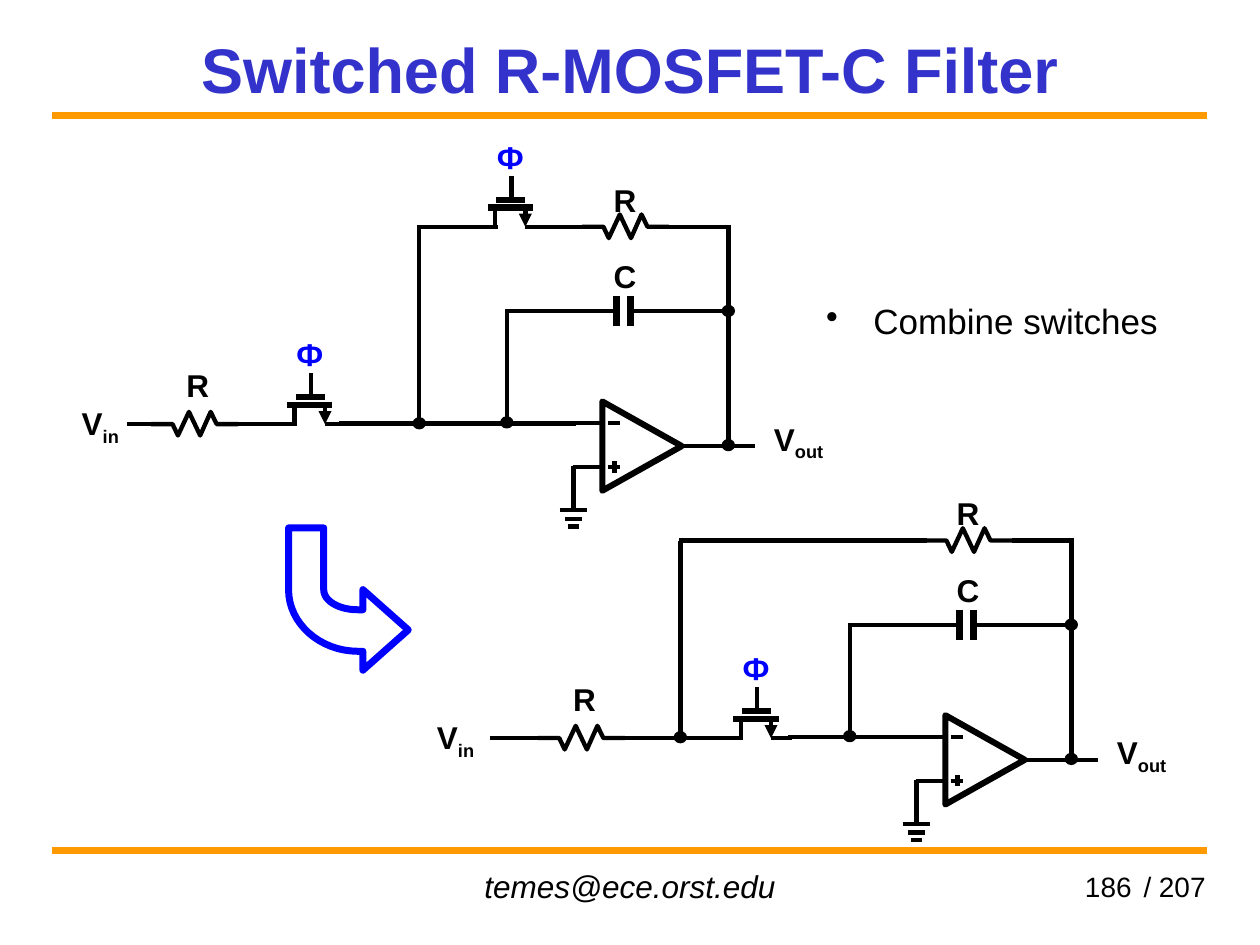
from dataclasses import dataclass
from pptx import Presentation
from pptx.dml.color import RGBColor
from pptx.enum import shapes as kinds, text as words
from pptx.oxml import ns, xmlchemy as xml
from pptx.util import Pt


@dataclass(frozen=True)
class Theme:
    """Hold the colours, type sizes and line widths."""
    ink: str = "000000"
    paper: str = "FFFFFF"
    blue: str = "0000FF"
    title: str = "3333CC"
    rule: str = "FF9900"
    font: str = "Arial"
    head: int = 36
    body: int = 20
    label: int = 18
    page: int = 16
    wire: float = 2.5
    thick: float = 3.5
    plate: float = 4
    band: float = 4.5


T = Theme()
ALIGN = words.PP_ALIGN
NODE = 5.6, 5


def color(code):
    """Turn a hex code into a colour."""
    return RGBColor.from_string(code)


def line(on, x1, y1, x2, y2, width=T.wire, ink=T.ink, arrow=False):
    """Draw a straight line, with an arrowhead at its end if asked."""
    wire = on.add_connector(kinds.MSO_CONNECTOR.STRAIGHT,
                            Pt(x1), Pt(y1), Pt(x2), Pt(y2))
    wire.line.width = Pt(width)
    wire.line.color.rgb = color(ink)
    if arrow:
        tip = xml.OxmlElement("a:tailEnd")
        tip.set("type", "triangle")
        wire.line._get_or_add_ln().append(tip)
    wire._element.spPr.append(xml.OxmlElement("a:effectLst"))


def style(shape, width, ink=T.ink, fill=None):
    """Set the fill and outline of a shape."""
    shape.shadow.inherit = False
    if fill:
        shape.fill.solid()
        shape.fill.fore_color.rgb = color(fill)
    else:
        shape.fill.background()
    shape.line.width = Pt(width)
    shape.line.color.rgb = color(ink)


def trace(on, points, width, ink=T.ink, fill=None, close=False):
    """Draw an outline through the points."""
    first, *rest = [(Pt(x), Pt(y)) for x, y in points]
    pen = on.build_freeform(*first)
    pen.add_line_segments(rest, close=close)
    style(pen.convert_to_shape(), width, ink, fill)


def write(on, content, x, y, w, h=29, size=T.label, ink=T.ink, bold=False,
          italic=False, align=ALIGN.LEFT, middle=False, wrap=True, sub="",
          bullet=False):
    """Add a text box, with an optional subscript or bullet."""
    box = on.add_textbox(Pt(x), Pt(y), Pt(w), Pt(h)).text_frame
    box.word_wrap = wrap
    if middle:
        box.vertical_anchor = words.MSO_ANCHOR.MIDDLE
    para = box.paragraphs[0]
    para.alignment = align
    if bullet:
        props = para._p.get_or_add_pPr()
        props.set("marL", str(Pt(27)))
        props.set("indent", str(Pt(-27)))
        mark = xml.OxmlElement("a:buChar")
        mark.set("char", "•")
        props.append(mark)
    for part in filter(None, (content, sub)):
        run = para.add_run()
        run.text = part
        font = run.font
        font.name, font.size = T.font, Pt(size)
        font.bold, font.italic = bold, italic
        font.color.rgb = color(ink)
    if sub:
        font._element.set("baseline", "-25000")


def dot(on, x, y):
    """Mark a junction centred on a point."""
    w, h = NODE
    node = on.add_shape(kinds.MSO_SHAPE.OVAL, Pt(x - w / 2), Pt(y - h / 2),
                        Pt(w), Pt(h))
    style(node, 2, fill=T.ink)


def ohm(on, x, y, dx, dy):
    """Draw a resistor from its left end, with its label shifted."""
    steps = [(0, 0), (12.2, 0), (15.3, 6.5), (21.6, -7), (28, 6.5),
             (34, -7), (37.4, 0), (49.7, 0)]
    trace(on, [(x + a, y + b) for a, b in steps], T.wire)
    write(on, "R", x + dx, y + dy, 27.4, bold=True, wrap=False)


def mosfet(on, x, y):
    """Draw a switch with its gate above a point on the wire."""
    line(on, x + 7.9, y - 11, x + 7.9, y, arrow=True)
    line(on, x - 13.7, y - 11, x + 12.2, y - 11, T.thick)
    line(on, x - 8.6, y - 15.5, x + 7.9, y - 15.5, T.thick)
    line(on, x, y - 14.4, x, y - 29)
    line(on, x - 9.4, y, x - 9.4, y - 11)
    line(on, x - 21, y, x - 8, y)
    line(on, x + 7.9, y, x + 20, y)
    write(on, "Ф", x - 15.5, y - 54.5, 29.5, ink=T.blue, bold=True)


def ground(on, x, y):
    """Draw a ground symbol hanging from a point."""
    line(on, x, y, x, y + 25)
    for drop, half in ((25, 7.9), (30, 4.7), (34.4, 3.2)):
        line(on, x - half, y + drop, x + half, y + drop)


def opamp(on, x, y):
    """Draw an amplifier from the middle of its left side."""
    w, h = 51, 45.4
    body = on.add_shape(kinds.MSO_SHAPE.ISOSCELES_TRIANGLE,
                        Pt(x + (h - w) / 2), Pt(y - h / 2), Pt(w), Pt(h))
    body.rotation = 90
    style(body, T.thick)
    for pin in (-13, 12):
        line(on, x + 3, y + pin, x + 10, y + pin)
        line(on, x - 17, y + pin, x, y + pin)
    line(on, x + 7, y + 8.8, x + 7, y + 15.2)
    line(on, x + 42.5, y, x + 87, y)
    ground(on, x - 16.5, y + 11.5)


def stage(on, x, y):
    """Draw the amplifier with its feedback R and C."""
    rail, tap, top, mid = x + 72, x - 54.6, y - 125.3, y - 77.2
    opamp(on, x, y)
    ohm(on, x - 11.6, top, 11, -30)
    line(on, x + 38, top, rail + 1.4, top)
    line(on, rail, top, rail, y)
    for plate in (x + 8, x + 16):
        line(on, plate, mid - 8.6, plate, mid + 8.6, T.plate)
    line(on, tap - 1, mid, x + 9, mid)
    line(on, x + 15, mid, rail, mid)
    line(on, tap, y - 13, tap, mid)
    for spot in ((tap, y - 13.5), (rail, y - 0.5), (rail, mid)):
        dot(on, *spot)
    write(on, "C", x - 0.6, y - 111.6, 27.4, bold=True, wrap=False)
    write(on, "V", x + 91, y - 18.7, 52.6, bold=True, sub="out")


def source(on, x, y, zig, node, top):
    """Draw the input wire, its resistor and the feedback branch."""
    write(on, "V", x, y - 15, 37.4, bold=True, wrap=False, sub="in")
    line(on, x + 33.2 if zig - x < 50 else x + 37.4, y, zig + 2, y)
    ohm(on, zig, y, 13, -36.7)
    line(on, node, y, node, top)
    dot(on, node, y - 0.5)


def before(on):
    """Draw the filter with two switches."""
    stage(on, 344.2, 254.9)
    source(on, 39.6, 242.4, 86.4, 239.6, 129.6)
    line(on, 134, 242.4, 158, 242.4)
    mosfet(on, 177.8, 242.4)
    line(on, 194, 242, 329, 242)
    line(on, 238.3, 129.6, 275, 129.6)
    mosfet(on, 292.3, 129.6)
    line(on, 310, 129.6, 334, 129.6)


def after(on):
    """Draw the filter with the switches combined."""
    stage(on, 540.2, 434.2)
    source(on, 242.6, 421.8, 307.4, 388.8, 308.9)
    line(on, 355, 421.8, 414, 421.8)
    mosfet(on, 432.7, 421.8)
    line(on, 450, 421.2, 526, 421.2)
    line(on, 388, 308.9, 530, 308.9)


def curve(a, b, c, d, count=16):
    """List points along a cubic curve."""
    spots = [k / count for k in range(count + 1)]
    return [tuple((1 - t) ** 3 * p + 3 * t * (1 - t) ** 2 * q
                  + 3 * t * t * (1 - t) * r + t ** 3 * s
                  for p, q, r, s in zip(a, b, c, d)) for t in spots]


def bend(on):
    """Draw the bent arrow between the circuits."""
    outer = curve((204.5, 372.2), (182.9, 372.2), (164.9, 356.4), (164.9, 337))
    inner = curve((185, 337), (185, 343.4), (193.7, 348.5), (204.5, 348.5))
    points = [(233.3, 360), (207.4, 383), (207.4, 372.2), *outer,
              (164.9, 301.7), (185, 301.7), *inner, (207.4, 348.5),
              (207.4, 337)]
    trace(on, points, T.plate, T.blue, T.paper, close=True)


def main():
    """Build and save the slide."""
    deck = Presentation()
    deck.slide_width, deck.slide_height = Pt(720), Pt(540)
    on = deck.slides.add_slide(deck.slide_layouts[6]).shapes
    for y in (66, 486):
        line(on, 30, y, 690, y, T.band, T.rule)
    write(on, "temes@ece.orst.edu", 234, 491.8, 252, italic=True,
          align=ALIGN.CENTER)
    for label, x, w in (("/ 207", 534, 162), ("186", 553.7, 100)):
        write(on, label, x, 491.8, w, size=T.page, align=ALIGN.RIGHT,
              middle=True)
    for draw in (before, after):
        draw(on.add_group_shape().shapes)
    bend(on)
    write(on, "Switched R-MOSFET-C Filter", 54, 12.2, 612, 54, size=T.head,
          ink=T.title, bold=True, align=ALIGN.CENTER, middle=True)
    write(on, "Combine switches", 465, 167.8, 221, 68.4, size=T.body,
          bullet=True)
    deck.save("out.pptx")


if __name__ == "__main__":
    main()
